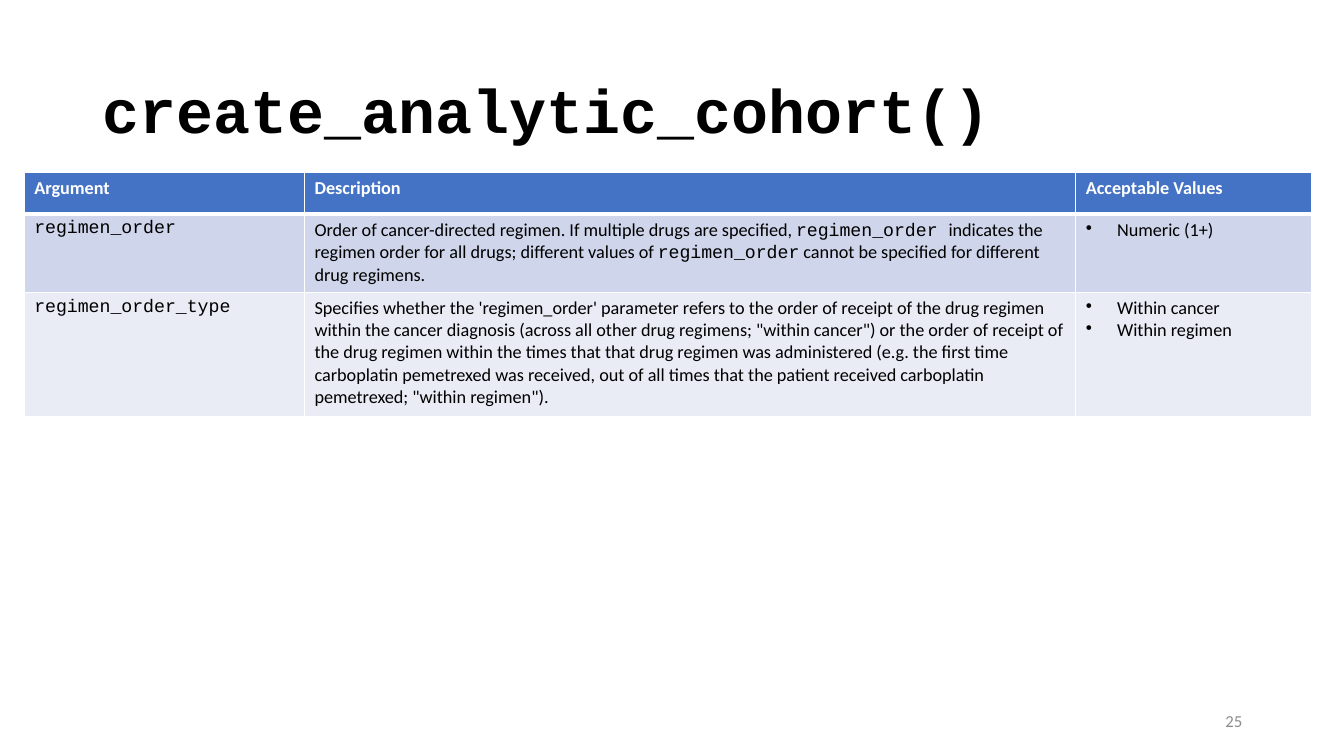
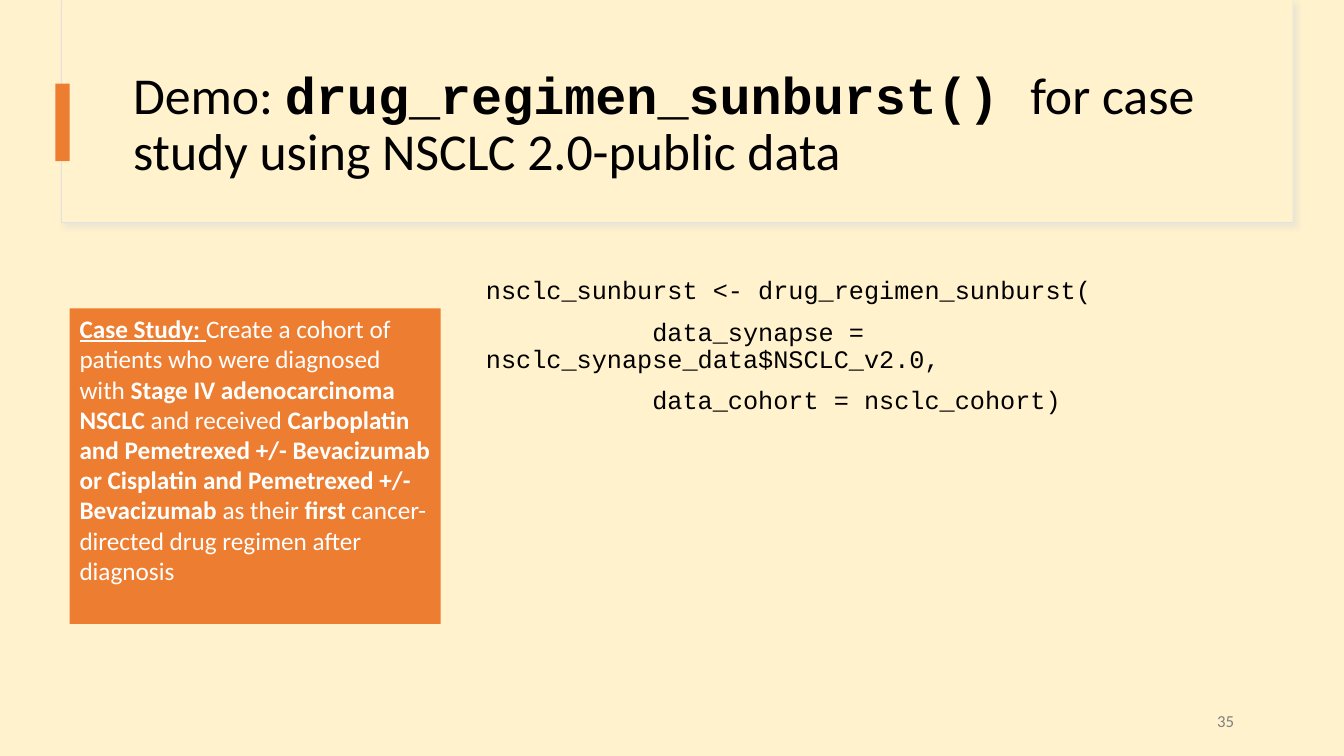
import pptx
import pptx.dml.color
import pptx.enum.shapes
import pptx.enum.text
import pptx.oxml
import pptx.oxml.ns
import pptx.util

Inches = pptx.util.Inches
Align = pptx.enum.text.PP_ALIGN
Anchor = pptx.enum.text.MSO_ANCHOR
SLIDE_WIDTH, SLIDE_HEIGHT = 13.33, 7.5
COLORS = {
    "black": "000000", "white": "FFFFFF", "cream": "FFF2CC", "orange": "ED7D31",
    "header": "4472C4", "band dark": "CFD5EA", "band light": "E9EBF5",
    "outline": "E1E1E1", "shadow": "D9D9D9", "number": "8C8C8C", "number warm": "808080",
}
CODE = {"font": "Courier New"}
BOLD = {"bold": True}

# A paragraph is a string or a list of pieces; a piece is a string or (string, format).
TABLE_TITLE = [("create_analytic_cohort()", CODE | BOLD)]
TABLE_HEADER = ["Argument", "Description", "Acceptable Values"]
ARGUMENTS = [
    ("regimen_order",
     ["Order of cancer-directed regimen. If multiple drugs are specified, ",
      ("regimen_order ", CODE),
      "indicates the regimen order for all drugs; different values of ",
      ("regimen_order", CODE),
      " cannot be specified for different drug regimens."],
     ["Numeric (1+)"]),
    ("regimen_order_type",
     ["Specifies whether the 'regimen_order' parameter refers to the order of receipt of the "
      "drug regimen within the cancer diagnosis (across all other drug regimens; \"within "
      "cancer\") or the order of receipt of the drug regimen within the times that that drug "
      "regimen was administered (e.g. the first time carboplatin pemetrexed was received, out "
      "of all times that the patient received carboplatin pemetrexed; \"within regimen\")."],
     ["Within cancer", "Within regimen"]),
]
COLUMN_WIDTHS = [2.78, 7.65, 2.34]
ROW_HEIGHTS = [0.41, 0.78, 1.23]

DEMO_TITLE = ["Demo: ", ("drug_regimen_sunburst() ", CODE | BOLD),
              "for case study using NSCLC 2.0-public data"]
CODE_LINES = [
    ("nsclc_sunburst <- drug_regimen_sunburst(", 0),
    ("data_synapse = nsclc_synapse_data$NSCLC_v2.0,", 1.65),
    ("data_cohort = nsclc_cohort)", 1.65),
]
CASE_STUDY = [
    ("Case Study: ", {"bold": True, "underline": True}),
    "Create a cohort of patients who were diagnosed with ",
    ("Stage IV adenocarcinoma NSCLC", BOLD),
    " and received ",
    ("Carboplatin and Pemetrexed +/- Bevacizumab or Cisplatin and Pemetrexed +/- "
     "Bevacizumab ", BOLD),
    "as their ", ("first", BOLD), " cancer-directed drug regimen after diagnosis",
]


def rgb(name):
    return pptx.dml.color.RGBColor.from_string(COLORS[name])


def box(left, top, width, height):
    return [Inches(value) for value in (left, top, width, height)]


def add_xml(parent, xml):
    parent.append(pptx.oxml.parse_xml(xml.replace(">", f" {pptx.oxml.ns.nsdecls('a')}>", 1)))


def write(paragraph, pieces, size=18, color="black", font="Calibri", bold=False,
          underline=False, align=Align.LEFT, spacing=1.0, before=0):
    """Fill a paragraph; formats given with a piece override the paragraph's own."""
    paragraph.alignment = align
    paragraph.line_spacing = spacing
    paragraph.space_before = pptx.util.Pt(before)
    base = {"font": font, "bold": bold, "underline": underline}
    for piece in [pieces] if isinstance(pieces, str) else pieces:
        text, changes = (piece, {}) if isinstance(piece, str) else piece
        style = base | changes
        run = paragraph.add_run()
        run.text = text
        run.font.size = pptx.util.Pt(size)
        run.font.color.rgb = rgb(color)
        run.font.name = style["font"]
        run.font.bold = style["bold"]
        run.font.underline = style["underline"]


def indent(paragraph, left, first, bullet=None):
    properties = paragraph._p.get_or_add_pPr()
    properties.set("marL", str(Inches(left)))
    properties.set("indent", str(Inches(first)))
    add_xml(properties, f'<a:buChar char="{bullet}"></a:buChar>' if bullet
            else "<a:buNone></a:buNone>")


def prepare_frame(shape, anchor):
    frame = shape.text_frame
    frame.word_wrap = True
    frame.auto_size = pptx.enum.text.MSO_AUTO_SIZE.NONE
    frame.vertical_anchor = anchor
    return frame


def place(placeholder, area, anchor):
    placeholder.left, placeholder.top, placeholder.width, placeholder.height = box(*area)
    return prepare_frame(placeholder, anchor)


def add_slide(presentation, layout, background, title, title_area, title_size):
    slide = presentation.slides.add_slide(presentation.slide_layouts[layout])
    slide.background.fill.solid()
    slide.background.fill.fore_color.rgb = rgb(background)
    frame = place(slide.shapes.title, title_area, Anchor.MIDDLE)
    write(frame.paragraphs[0], title, size=title_size, spacing=0.9)
    return slide


def add_page_number(slide, number, left, color):
    shape = slide.shapes.add_textbox(*box(left, 6.95, 3, 0.4))
    frame = prepare_frame(shape, Anchor.MIDDLE)
    write(frame.paragraphs[0], number, size=12, color=color, align=Align.RIGHT)


def add_rectangle(slide, area, fill, line=None):
    shape = slide.shapes.add_shape(pptx.enum.shapes.MSO_SHAPE.RECTANGLE, *box(*area))
    shape.shadow.inherit = False
    shape.fill.solid()
    shape.fill.fore_color.rgb = rgb(fill)
    if line:
        shape.line.color.rgb = rgb(line)
        shape.line.width = pptx.util.Pt(0.75)
    else:
        shape.line.fill.background()
    return shape


def add_soft_shadow(shape):
    effects = shape.element.spPr.find(pptx.oxml.ns.qn("a:effectLst"))
    add_xml(effects, f'<a:outerShdw blurRad="{pptx.util.Pt(4)}" dist="{pptx.util.Pt(3)}" '
            f'dir="2700000"><a:srgbClr val="{COLORS["shadow"]}"><a:alpha val="50000"/>'
            '</a:srgbClr></a:outerShdw>')


def style_cell(cell, fill, bottom=1):
    """Draw white borders, with the bottom one in points, and then fill the cell."""
    properties = cell._tc.get_or_add_tcPr()
    for side, width in zip("LRTB", (1, 1, 1, bottom)):
        add_xml(properties, f'<a:ln{side} w="{pptx.util.Pt(width)}"><a:solidFill>'
                f'<a:srgbClr val="{COLORS["white"]}"/></a:solidFill></a:ln{side}>')
    cell.fill.solid()
    cell.fill.fore_color.rgb = rgb(fill)


def add_argument_table(slide):
    table = slide.shapes.add_table(
        len(ROW_HEIGHTS), len(COLUMN_WIDTHS),
        *box(0.24, 1.71, sum(COLUMN_WIDTHS), sum(ROW_HEIGHTS))).table
    for column, width in zip(table.columns, COLUMN_WIDTHS):
        column.width = Inches(width)
    for row, height in zip(table.rows, ROW_HEIGHTS):
        row.height = Inches(height)
    for index, heading in enumerate(TABLE_HEADER):
        cell = table.cell(0, index)
        style_cell(cell, "header", bottom=3)
        write(cell.text_frame.paragraphs[0], heading, size=13, color="white", bold=True)
    for row, (name, description, values) in enumerate(ARGUMENTS, start=1):
        cells = [table.cell(row, index) for index in range(len(COLUMN_WIDTHS))]
        for cell in cells:
            style_cell(cell, "band dark" if row % 2 else "band light")
        write(cells[0].text_frame.paragraphs[0], name, size=13, **CODE)
        write(cells[1].text_frame.paragraphs[0], description, size=13)
        frame = cells[2].text_frame
        for index, value in enumerate(values):
            paragraph = frame.add_paragraph() if index else frame.paragraphs[0]
            write(paragraph, value, size=13)
            indent(paragraph, 0.31, -0.31, bullet="•")


def build_table_slide(presentation):
    slide = add_slide(presentation, 5, "white", TABLE_TITLE, (0.92, 0.4, 11.5, 1.45), 44)
    add_argument_table(slide)
    add_page_number(slide, "25", 9.42, "number")


def build_demo_slide(presentation):
    slide = add_slide(presentation, 1, "cream", DEMO_TITLE, (1.22, 0.6, 11.12, 1.29), 37)
    outline = add_rectangle(slide, (0.61, 0, 12.21, 2.21), "cream", line="outline")
    add_soft_shadow(outline)
    panel = add_rectangle(slide, (0.62, 0, 12.2, 2.2), "cream")
    for shape in (outline, panel):
        slide.shapes.title.element.addprevious(shape.element)
    add_rectangle(slide, (0.55, 0.83, 0.14, 0.77), "orange")

    frame = place(slide.placeholders[1], (4.72, 2.71, 8.26, 4.04), Anchor.TOP)
    for index, (line, first) in enumerate(CODE_LINES):
        paragraph = frame.add_paragraph() if index else frame.paragraphs[0]
        write(paragraph, line, spacing=0.9, before=10, **CODE)
        indent(paragraph, 0, first)

    add_page_number(slide, "35", 9.34, "number warm")
    case_study = add_rectangle(slide, (0.69, 3.06, 3.68, 3.13), "orange")
    write(prepare_frame(case_study, Anchor.TOP).paragraphs[0], CASE_STUDY, color="white")


def main():
    presentation = pptx.Presentation()
    presentation.slide_width = Inches(SLIDE_WIDTH)
    presentation.slide_height = Inches(SLIDE_HEIGHT)
    build_table_slide(presentation)
    build_demo_slide(presentation)
    presentation.save("out.pptx")


if __name__ == "__main__":
    main()
